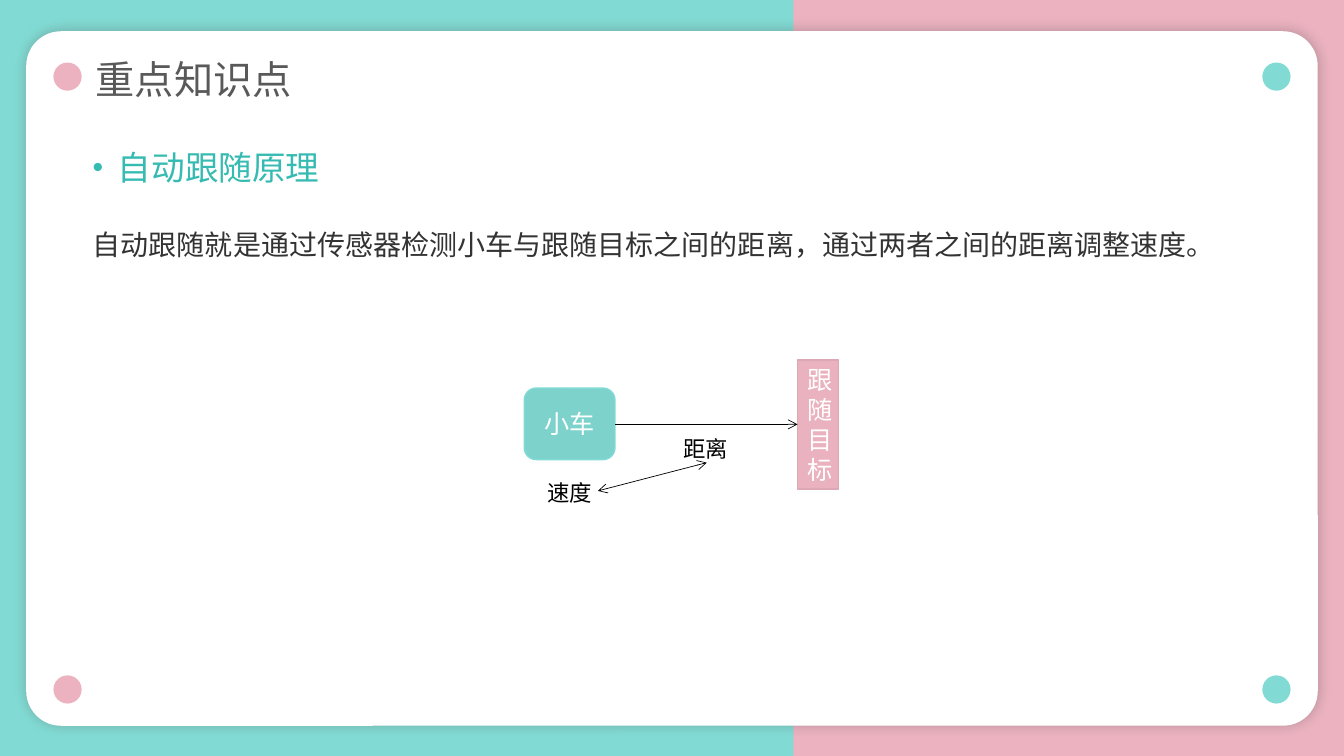
from lxml import etree
from pptx import Presentation
from pptx.dml.color import RGBColor
from pptx.enum.shapes import MSO_CONNECTOR, MSO_SHAPE
from pptx.enum.text import MSO_ANCHOR, MSO_AUTO_SIZE, PP_ALIGN
from pptx.oxml.ns import qn
from pptx.util import Inches, Pt

RECTANGLE, ROUNDED, OVAL = MSO_SHAPE.RECTANGLE, MSO_SHAPE.ROUNDED_RECTANGLE, MSO_SHAPE.OVAL
LEFT, CENTER, JUSTIFY = PP_ALIGN.LEFT, PP_ALIGN.CENTER, PP_ALIGN.JUSTIFY
TOP, MIDDLE = MSO_ANCHOR.TOP, MSO_ANCHOR.MIDDLE
FIT_TEXT = MSO_AUTO_SIZE.SHAPE_TO_FIT_TEXT
CJK_FONT = "Noto Sans CJK SC"
TEAL, PINK, WHITE, BLACK = "81DBD4", "ECB2C0", "FFFFFF", "000000"

deck = Presentation()
deck.slide_width, deck.slide_height = Inches(13.33), Inches(7.5)
page = deck.slides.add_slide(deck.slide_layouts[6])
color = RGBColor.from_string
page.background.fill.solid()
page.background.fill.fore_color.rgb = color(PINK)


def add_block(kind, place, fill, line=None):
    block = page.shapes.add_shape(kind, *map(Inches, place))
    block.shadow.inherit = False
    block.fill.solid()
    block.fill.fore_color.rgb = color(fill)
    if line:
        block.line.color.rgb = color(line)
        block.line.width = Pt(1)
    else:
        block.line.fill.background()
    return block


def write(box, text, size, ink, font=CJK_FONT, align=LEFT, anchor=MIDDLE, spacing=1.0):
    """Put one styled paragraph in the box and return it."""
    frame = box.text_frame
    frame.vertical_anchor = anchor
    para = frame.paragraphs[0]
    para.text = text
    para.alignment = align
    para.line_spacing = spacing
    span = para.runs[0]
    span.font.size = Pt(size)
    span.font.name = font
    span.font.color.rgb = color(ink)
    etree.SubElement(span.font._element, qn("a:ea"), typeface=CJK_FONT)
    return para


# Backdrop, card and corner dots
add_block(RECTANGLE, (-0.02, 0, 7.89, 7.5), TEAL)
card = add_block(ROUNDED, (0.26, 0.31, 12.81, 6.89), WHITE)
card.adjustments[0] = 0.05
effects = card._element.spPr.find(qn("a:effectLst"))
shadow = etree.SubElement(effects, qn("a:outerShdw"), blurRad=str(Pt(9)),
                          dist=str(Pt(1)), dir="0", algn="ctr", rotWithShape="0")
shade = etree.SubElement(shadow, qn("a:srgbClr"), val="595959")
etree.SubElement(shade, qn("a:alpha"), val="36000")
for top in (0.62, 6.7):
    for left, fill in ((0.53, PINK), (12.52, TEAL)):
        add_block(OVAL, (left, top, 0.28, 0.28), fill)

# Heading, subheading and explanation
texts = [
    ((0.95, 0.55, 5.59, 0.52), "重点知识点", 28, "595959", CJK_FONT, LEFT, MIDDLE, 0.9),
    ((0.92, 1.41, 8.1, 0.5), "自动跟随原理", 24, "35BBB1", "Arial", JUSTIFY, MIDDLE, 1.0),
    ((0.92, 2.11, 11.69, 0.54),
     "自动跟随就是通过传感器检测小车与跟随目标之间的距离，通过两者之间的距离调整速度。",
     20, "333333", "Arial", JUSTIFY, TOP, 1.3),
]
for place, text, *style in texts:
    box = page.shapes.add_textbox(*map(Inches, place))
    box.text_frame.word_wrap = True
    box.text_frame.margin_left = box.text_frame.margin_right = 0
    para = write(box, text, *style)
    if text == "自动跟随原理":
        properties = para._p.get_or_add_pPr()
        properties.set("marL", str(Inches(0.25)))
        properties.set("indent", str(Inches(-0.25)))
        etree.SubElement(properties, qn("a:buSzPct"), val="90000")
        etree.SubElement(properties, qn("a:buFont"), typeface="Arial")
        etree.SubElement(properties, qn("a:buChar"), char="•")

# Diagram: the car follows the target
target = add_block(RECTANGLE, (7.91, 3.57, 0.41, 1.28), "EAB1BF", "DCA8B5")
write(target, "跟随目标", 18, WHITE, align=CENTER)
car = add_block(ROUNDED, (5.2, 3.85, 0.9, 0.71), "7ED2CC", "80DBD4")
write(car, "小车", 18, WHITE, align=CENTER)

for place, text in (((6.7, 4.24, 0.6, 0.35), "距离"), ((5.35, 4.67, 0.6, 0.35), "速度")):
    label = page.shapes.add_textbox(*map(Inches, place))
    frame = label.text_frame
    frame.word_wrap = False
    frame.auto_size = FIT_TEXT
    frame.margin_left = frame.margin_right = frame.margin_top = frame.margin_bottom = 0
    write(label, text, 16, BLACK, align=CENTER, anchor=TOP, spacing=1.3)

arrows = [
    ((6.1, 4.21, 7.91, 4.21), ("a:tailEnd",)),
    ((5.93, 4.87, 7.01, 4.59), ("a:headEnd", "a:tailEnd")),
]
for ends, heads in arrows:
    arrow = page.shapes.add_connector(MSO_CONNECTOR.STRAIGHT, *map(Inches, ends))
    arrow.line.color.rgb = color(BLACK)
    arrow.line.width = Pt(0.5)
    for head in heads:
        etree.SubElement(arrow.line._get_or_add_ln(), qn(head), type="arrow")
    etree.SubElement(arrow._element.spPr, qn("a:effectLst"))

deck.save("out.pptx")
